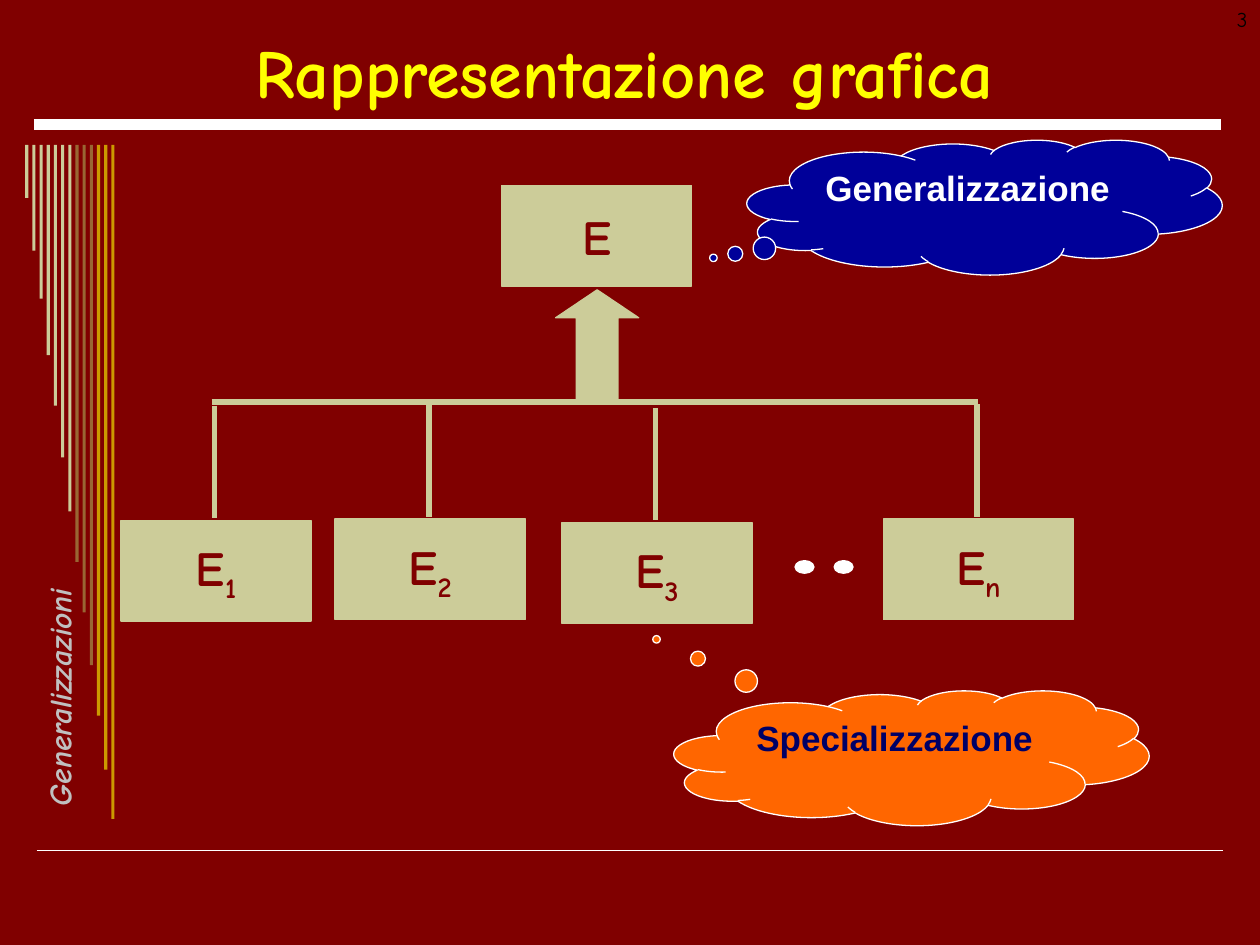
from lxml.etree import SubElement
from pptx import Presentation
from pptx.dml.color import RGBColor
from pptx.enum.shapes import MSO_CONNECTOR, MSO_SHAPE as Preset
from pptx.enum.text import MSO_ANCHOR as Anchor, PP_ALIGN as Align
from pptx.oxml.ns import qn
from pptx.util import Inches, Pt

HAND, SANS = "Comic Neue", "Arial"
MAROON, SAND, WHITE, YELLOW = "800000", "CCCC99", "FFFFFF", "FFFF00"

RULES = [(0.29, 6.75, 1), (0.27, 0.99, 6)]  # left, top, weight
RULE_LENGTH = 9.42

STRIPE_HEIGHTS = [0.42, 0.84, 1.22, 1.67, 2.07, 2.48, 2.91,
                  3.31, 3.71, 4.13, 4.53, 4.96, 5.35]
STRIPE_COLORS = [SAND] * 7 + ["996633"] * 3 + ["CC9900"] * 3
STRIPE_LEFT, STRIPE_TOP, STRIPE_PITCH, STRIPE_WIDTH = 0.2, 1.15, 0.057, 0.025

ENTITY_SIZE = (1.51, 0.8)
PARENT = (3.98, 1.47)
CHILDREN = [("1", 0.96, 4.13), ("2", 2.66, 4.12), ("3", 4.46, 4.15), ("n", 7.01, 4.12)]
BRANCH_Y = 3.19
STEM_GAP, STEM_LENGTH = 0.02, 0.89
DOTS_X = [6.31, 6.62]

CLOUD_SIZE = (3.77, 1.07)
CLOUDS = [
    ("Generalizzazione", 5.93, 1.11, "000099", WHITE, (-0.571, 0.376)),
    ("Specializzazione", 5.35, 5.48, "FF6600", "000066", (-0.537, -0.879)),
]

prs = Presentation()
prs.slide_width, prs.slide_height = Inches(10), Inches(7.5)
slide = prs.slides.add_slide(prs.slide_layouts[6])


def rgb(color):
    return RGBColor.from_string(color)


def inches(*lengths):
    return [Inches(length) for length in lengths]


def write(shape, parts, size, color, font=HAND, bold=True, italic=False,
          align=Align.CENTER, anchor=Anchor.TOP, wrap=True):
    """Fill one paragraph; the second part, if any, is a subscript."""
    frame = shape.text_frame
    frame.word_wrap, frame.vertical_anchor = wrap, anchor
    paragraph = frame.paragraphs[0]
    paragraph.alignment = align
    for index, part in enumerate(parts):
        run = paragraph.add_run()
        run.text = part
        if index:
            run.font._element.set("baseline", "-25000")
    style = paragraph.font
    style.name, style.size, style.bold, style.italic = font, Pt(size), bold, italic
    style.color.rgb = rgb(color)


def add_preset(preset, left, top, width, height, fill, outline=None):
    shape = slide.shapes.add_shape(preset, *inches(left, top, width, height))
    shape.shadow.inherit = False
    shape.fill.solid()
    shape.fill.fore_color.rgb = rgb(fill)
    if outline:
        shape.line.color.rgb = rgb(outline)
        shape.line.width = Pt(0.75)
    else:
        shape.line.fill.background()
    return shape


def adjust(shape, values):
    for index, value in enumerate(values):
        shape.adjustments[index] = value


def add_line(x1, y1, x2, y2, color, weight):
    line = slide.shapes.add_connector(MSO_CONNECTOR.STRAIGHT, *inches(x1, y1, x2, y2))
    line.line.color.rgb = rgb(color)
    line.line.width = Pt(weight)
    SubElement(line._element.spPr, qn("a:effectLst"))


def add_text(left, top, width, height, text, size, color, **style):
    box = slide.shapes.add_textbox(*inches(left, top, width, height))
    write(box, [text], size, color, **style)
    return box


def add_entity(left, top, *parts):
    box = add_preset(Preset.RECTANGLE, left, top, *ENTITY_SIZE, SAND, SAND)
    write(box, parts, 28, MAROON, anchor=Anchor.MIDDLE, wrap=False)


# Background, rules, stripes and side label
slide.background.fill.solid()
slide.background.fill.fore_color.rgb = rgb(MAROON)
for left, top, weight in RULES:
    add_line(left, top, left + RULE_LENGTH, top, WHITE, weight)
for column, (height, color) in enumerate(zip(STRIPE_HEIGHTS, STRIPE_COLORS)):
    add_preset(Preset.RECTANGLE, STRIPE_LEFT + column * STRIPE_PITCH, STRIPE_TOP,
               STRIPE_WIDTH, height, color)
chapter = add_text(-0.75, 5.24, 2.28, 0.24, "Generalizzazioni", 18, "C0C0C0",
                   italic=True, align=Align.LEFT, wrap=False)
chapter.rotation = 270
add_text(0.35, 0.21, 9.21, 0.71, "Rappresentazione grafica", 39, YELLOW,
         anchor=Anchor.MIDDLE)

# Hierarchy
add_entity(*PARENT, "E")
add_line(1.68, BRANCH_Y, 7.76, BRANCH_Y, SAND, 3)
arrow = add_preset(Preset.UP_ARROW, 4.41, 2.3, 0.66, BRANCH_Y - 2.3, SAND, SAND)
adjust(arrow, (0.5, 0.337))
for subscript, left, top in CHILDREN:
    stem_x, stem_end = left + ENTITY_SIZE[0] / 2 - 0.01, top - STEM_GAP
    add_line(stem_x, stem_end - STEM_LENGTH, stem_x, stem_end, SAND, 3)
    add_entity(left, top, "E", subscript)
for left in DOTS_X:
    add_preset(Preset.OVAL, left, 4.45, 0.15, 0.1, WHITE, WHITE)

# Thought clouds and page number
for label, left, top, fill, color, tail in CLOUDS:
    cloud = add_preset(Preset.CLOUD_CALLOUT, left, top, *CLOUD_SIZE, fill, WHITE)
    adjust(cloud, tail)
    write(cloud, [label], 20, color, font=SANS)
add_text(7.67, 0, 2.33, 0.5, "3", 12, "000000", bold=False, align=Align.RIGHT)

prs.save("out.pptx")
